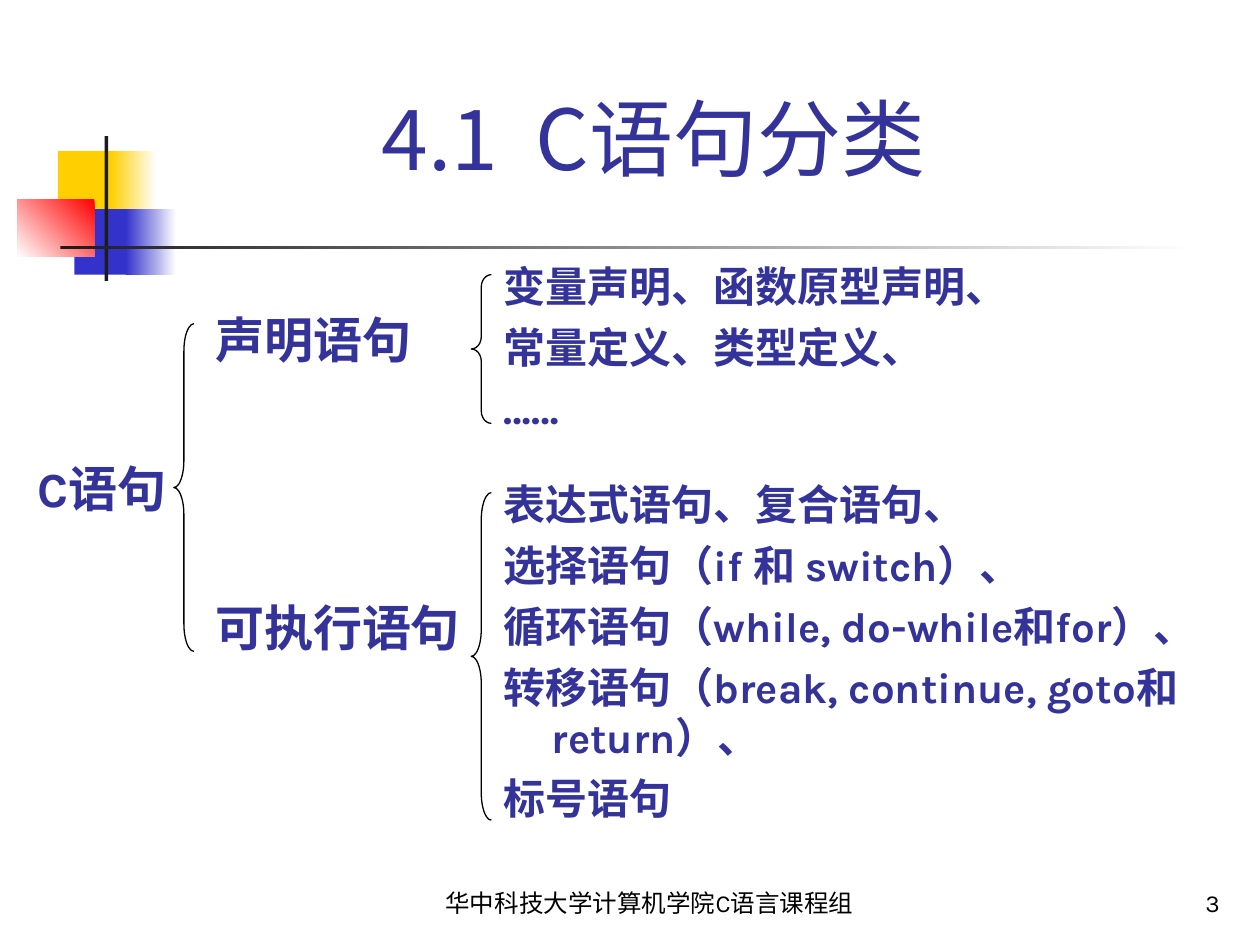
from lxml import etree
from pptx import Presentation
from pptx.dml.color import RGBColor
from pptx.enum.shapes import MSO_SHAPE
from pptx.enum.text import MSO_ANCHOR, PP_ALIGN
from pptx.oxml.ns import qn
from pptx.util import Inches, Pt

RECT, BRACE = MSO_SHAPE.RECTANGLE, MSO_SHAPE.LEFT_BRACE
TOP, BOTTOM = MSO_ANCHOR.TOP, MSO_ANCHOR.BOTTOM
LEFT, CENTER, RIGHT = PP_ALIGN.LEFT, PP_ALIGN.CENTER, PP_ALIGN.RIGHT
LATIN, CJK = "Karla", "Noto Sans CJK SC"
INK, WHITE, BLACK = "333399", "FFFFFF", "000000"

prs = Presentation()
prs.slide_width, prs.slide_height = Inches(10), Inches(7.5)
COL = prs.slide_width // 10
s = prs.slides.add_slide(prs.slide_layouts[5])


def rgb(value):
    return RGBColor.from_string(value)


def write(sp, box, lines, size, font=LATIN, color=INK, bold=True,
          align=LEFT, anchor=TOP, hang=0.38, gap=0):
    sp.left, sp.top, sp.width, sp.height = [int(v * COL) for v in box]
    tf = sp.text_frame
    tf.word_wrap, tf.vertical_anchor = True, anchor
    for i, line in enumerate(lines):
        p = tf.paragraphs[0] if i == 0 else tf.add_paragraph()
        p.text, p.alignment = line, align
        p.space_before = Pt(gap if i else 0)
        pPr = p._p.get_or_add_pPr()
        pPr.set("marL", str(int(hang * COL)))
        pPr.set("indent", str(int(-hang * COL)))
        p.font.size, p.font.bold, p.font.name = Pt(size), bold, font
        p.font.color.rgb = rgb(color)
        etree.SubElement(pPr.find(qn("a:defRPr")), qn("a:ea"), typeface=CJK)


decorations = [
    ((0.46, 1.2, 0.48, 0.52), "FFCF01", None),
    ((0.88, 1.2, 0.36, 0.52), "FFCF01", 0),
    ((0.59, 1.66, 0.46, 0.52), "3333CC", None),
    ((1, 1.66, 0.4, 0.52), "3333CC", 0),
    ((0.14, 1.58, 0.61, 0.46), "FF0000", 225),
    ((0.83, 1.08, 0.03, 1.15), "1C1C1C", None),
    ((0.48, 1.95, 9, 0.03), "1C1C1C", 0),
]
for box, color, angle in decorations:
    sp = s.shapes.add_shape(RECT, *[int(v * COL) for v in box])
    sp.shadow.inherit = False
    sp.line.fill.background()
    if angle is None:
        sp.fill.solid()
        sp.fill.fore_color.rgb = rgb(color)
    else:
        sp.fill.gradient()
        sp.fill.gradient_angle = angle
        for stop, shade in zip(sp.fill.gradient_stops, (color, WHITE)):
            stop.color.rgb = rgb(shade)

BRACE_W = 0.16
for left, top, height in [(1.38, 2.57, 2.6), (3.74, 2.18, 1.18), (3.74, 3.91, 2.6)]:
    sp = s.shapes.add_shape(BRACE, *[int(v * COL) for v in (left, top, BRACE_W, height)])
    sp.adjustments[0] = height / BRACE_W / 12
    sp.shadow.inherit = False
    sp.fill.background()
    sp.line.color.rgb = rgb(BLACK)
    sp.line.width = Pt(0.75)

write(s.shapes.title, (0.59, 0.23, 9.19, 1.31), ["4.1  C语句分类"], 48,
      font=CJK, bold=False, align=CENTER, anchor=BOTTOM, hang=0)

groups = [
    ((0.2, 3.59, 1.34, 0.63), 28, ["C语句"]),
    ((1.61, 2.41, 1.81, 0.63), 28, ["声明语句"]),
    ((1.61, 4.69, 2.28, 0.63), 28, ["可执行语句"]),
    ((3.9, 2.02, 4.41, 1.5), 24,
     ["变量声明、函数原型声明、", "常量定义、类型定义、", "……"]),
    ((3.9, 3.75, 6.1, 2.99), 24,
     ["表达式语句、复合语句、",
      "选择语句（if 和 switch）、",
      "循环语句（while, do-while和for）、",
      "转移语句（break, continue, goto和return）、",
      "标号语句"]),
]
for box, size, lines in groups:
    write(s.shapes.add_textbox(0, 0, COL, COL), box, lines, size, gap=6)

footers = [
    ((2.87, 6.83, 4.57, 0.5), "华中科技大学计算机学院C语言课程组", CENTER),
    ((7.7, 6.83, 2.08, 0.5), "3", RIGHT),
]
for box, line, align in footers:
    write(s.shapes.add_textbox(0, 0, COL, COL), box, [line], 14, color=BLACK,
          bold=False, align=align, anchor=BOTTOM, hang=0)

prs.save("out.pptx")
